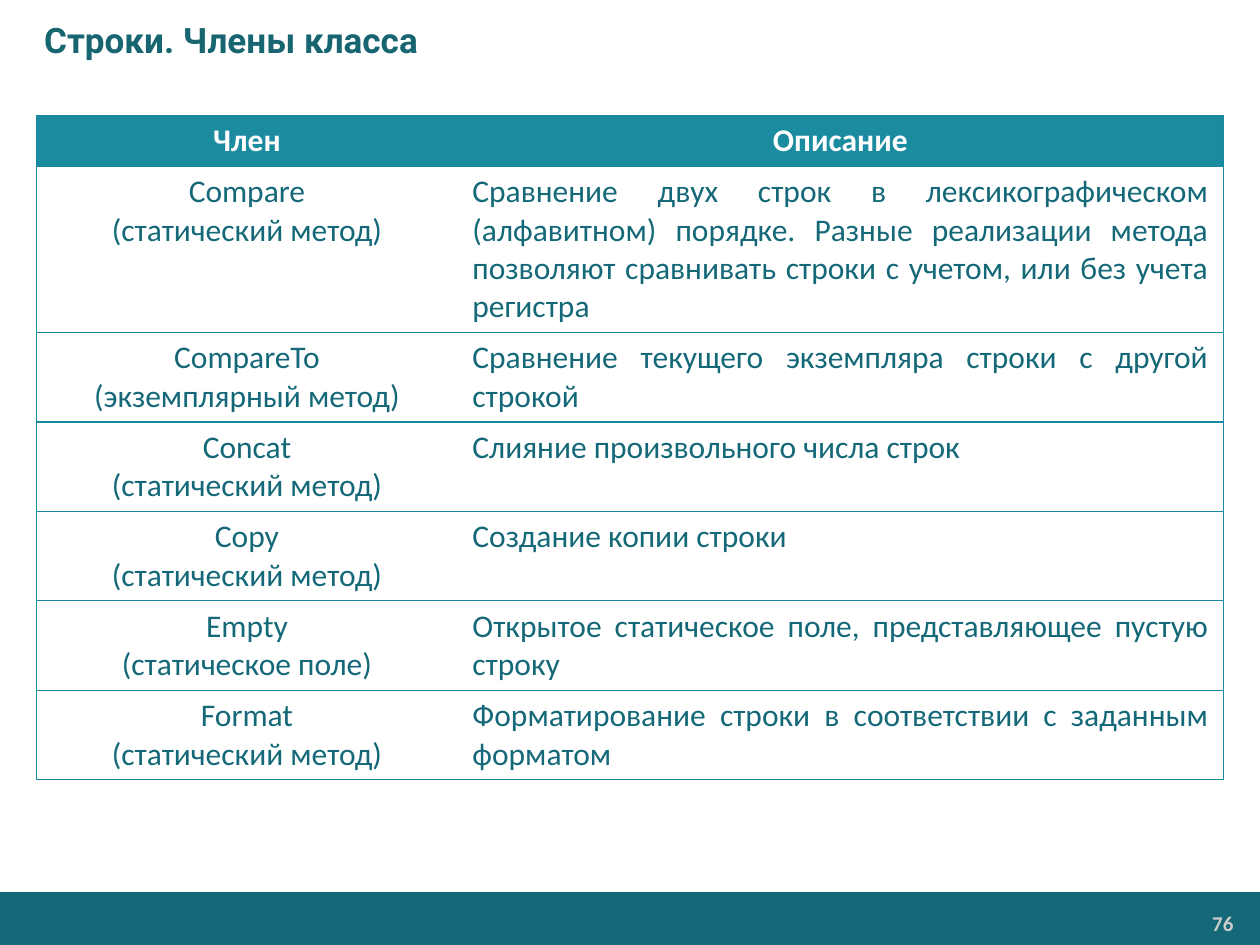
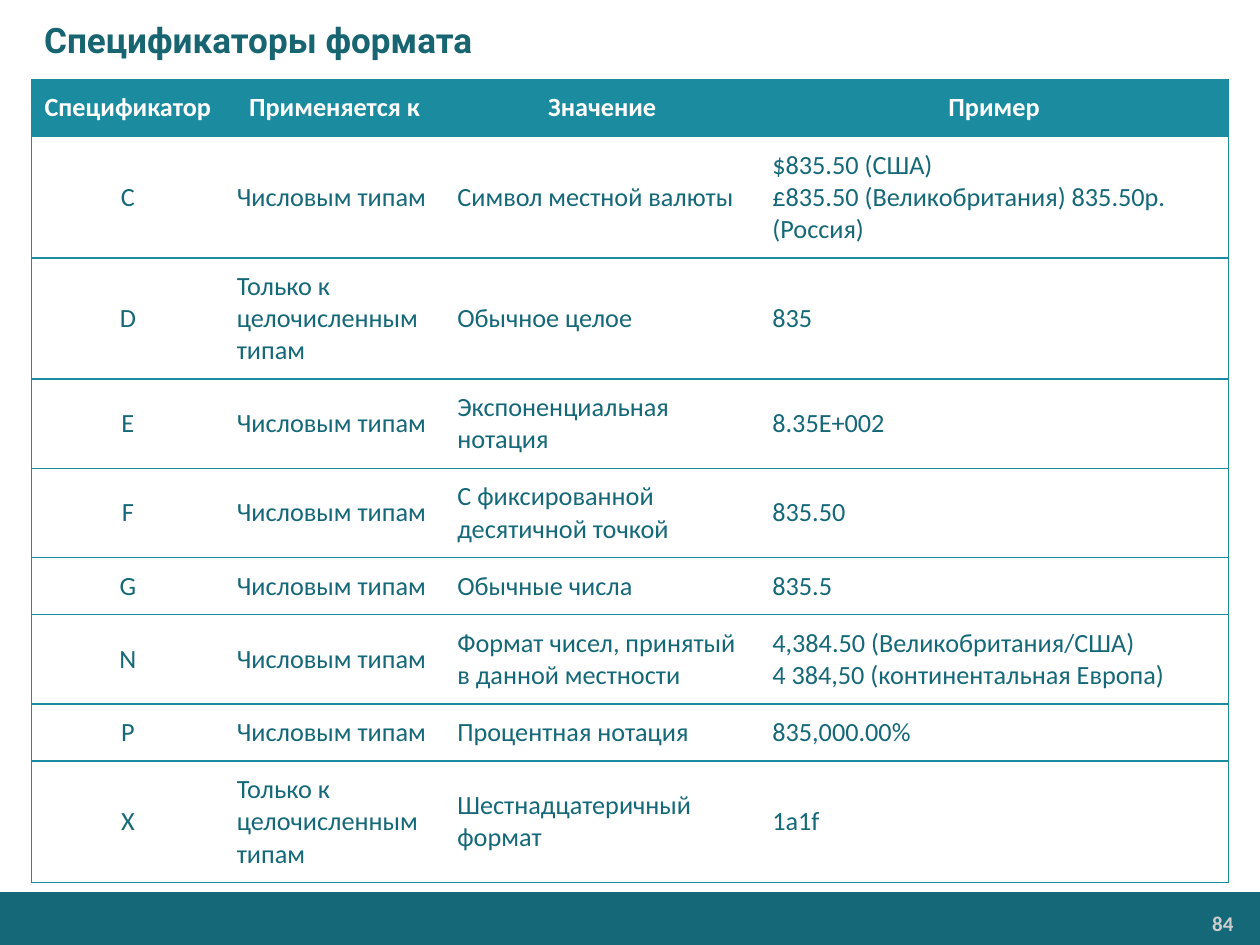
import lxml.etree
import pptx
import pptx.dml.color
import pptx.enum.shapes
import pptx.enum.text
import pptx.oxml.ns
import pptx.util

ALIGN = pptx.enum.text.PP_ALIGN
ANCHOR = pptx.enum.text.MSO_ANCHOR
COLORS = {
    "title": "176571",
    "dark": "146878",
    "header": "1B8BA0",
    "border": "178AA0",
    "number": "CCCCCC",
    "white": "FFFFFF",
}
GRID_COLS, GRID_ROWS = 40, 30
LINE_SPACING = 1.22
NO_STYLE_NO_GRID = "{2D5ABB26-0587-4C30-8999-92F81FD0307C}"

NUMERIC = "Числовым типам"
INTEGER = "Только к целочисленным типам"

# Each row: number of text lines it holds, then its cells.
MEMBERS = [
    (1, "Член", "Описание"),
    (4, "Compare\n(статический метод)",
     "Сравнение двух строк в лексикографическом (алфавитном) порядке. Разные "
     "реализации метода позволяют сравнивать строки с учетом, или без учета регистра"),
    (2, "CompareTo\n(экземплярный метод)",
     "Сравнение текущего экземпляра строки с другой строкой"),
    (2, "Concat\n(статический метод)", "Слияние произвольного числа строк"),
    (2, "Copy\n(статический метод)", "Создание копии строки"),
    (2, "Empty\n(статическое поле)",
     "Открытое статическое поле, представляющее пустую строку"),
    (2, "Format\n(статический метод)",
     "Форматирование строки в соответствии с заданным форматом"),
]
SPECIFIERS = [
    (1, "Спецификатор", "Применяется к", "Значение", "Пример"),
    (3, "C", NUMERIC, "Символ местной валюты",
     "$835.50 (США)\v£835.50 (Великобритания) 835.50р.(Россия)"),
    (3, "D", INTEGER, "Обычное целое", "835"),
    (2, "E", NUMERIC, "Экспоненциальная нотация", "8.35Е+002"),
    (2, "F", NUMERIC, "С фиксированной десятичной точкой", "835.50"),
    (1, "G", NUMERIC, "Обычные числа", "835.5"),
    (2, "N", NUMERIC, "Формат чисел, принятый в данной местности",
     "4,384.50 (Великобритания/США)\v4 384,50 (континентальная Европа)"),
    (1, "P", NUMERIC, "Процентная нотация", "835,000.00%"),
    (3, "X", INTEGER, "Шестнадцатеричный формат", "1a1f"),
]


def rgb(name):
    return pptx.dml.color.RGBColor.from_string(COLORS[name])


def set_margins(target, x, y):
    target.margin_left = target.margin_right = pptx.util.Inches(x)
    target.margin_top = target.margin_bottom = pptx.util.Inches(y)


def add_border(cell, side, color, width):
    """Draw one side (L, R, T or B); call before the cell gets its fill."""
    tc_pr = cell._tc.get_or_add_tcPr()
    ln = lxml.etree.SubElement(tc_pr, pptx.oxml.ns.qn(f"a:ln{side}"),
                               w=str(pptx.util.Pt(width)))
    fill = lxml.etree.SubElement(ln, pptx.oxml.ns.qn("a:solidFill"))
    lxml.etree.SubElement(fill, pptx.oxml.ns.qn("a:srgbClr"), val=COLORS[color])


class Deck:
    """Holds the style and the current slide; lengths are grid columns and rows."""

    def __init__(self):
        self.prs = pptx.Presentation()
        self.prs.slide_width = pptx.util.Inches(10)
        self.prs.slide_height = pptx.util.Inches(7.5)
        self.s = None

    def x(self, cols):
        return round(self.prs.slide_width * cols / GRID_COLS)

    def y(self, rows):
        return round(self.prs.slide_height * rows / GRID_ROWS)

    def box(self, left, top, width, height):
        return self.x(left), self.y(top), self.x(width), self.y(height)

    def style_text(self, tf, size, color, bold=False, align=ALIGN.LEFT, font="Calibri"):
        for p in tf.paragraphs:
            p.alignment = align
            for r in p.runs:
                r.font.name = font
                r.font.size = pptx.util.Pt(size)
                r.font.bold = bold
                r.font.color.rgb = rgb(color)

    def add_slide(self, title, number):
        self.s = self.prs.slides.add_slide(self.prs.slide_layouts[5])
        self.add_band()
        self.add_number(number)
        self.set_title(title)

    def add_band(self):
        sp = self.s.shapes.add_shape(pptx.enum.shapes.MSO_SHAPE.RECTANGLE,
                                     *self.box(0, 28.32, 40, 1.68))
        sp.shadow.inherit = False
        sp.fill.solid()
        sp.fill.fore_color.rgb = rgb("dark")
        sp.line.fill.background()

    def add_number(self, number):
        tf = self.s.shapes.add_textbox(*self.box(32.92, 28.76, 6.52, 1.12)).text_frame
        tf.word_wrap = True
        set_margins(tf, 0.07, 0.04)
        tf.text = str(number)
        self.style_text(tf, 12, "number", True, ALIGN.RIGHT)

    def set_title(self, title):
        sp = self.s.shapes.title
        sp.left, sp.top, sp.width, sp.height = self.box(0, 0, 40, 2.5)
        tf = sp.text_frame
        tf.text = title
        tf.margin_left = pptx.util.Inches(0.35)
        tf.vertical_anchor = ANCHOR.MIDDLE
        tf.auto_size = pptx.enum.text.MSO_AUTO_SIZE.NONE
        self.style_text(tf, 20, "title", True, font="Roboto")

    def add_table(self, rows, left, top, widths, aligns, size, margins, anchor, border):
        """Row heights follow from line counts; border is (colour, points)."""
        pad = pptx.util.Inches(2 * margins[1])
        heights = [pad + pptx.util.Pt(size * LINE_SPACING * row[0]) for row in rows]
        frame = self.s.shapes.add_table(len(rows), len(widths), self.x(left), self.y(top),
                                        self.x(sum(widths)), sum(heights))
        table = frame.table
        table.horz_banding = False
        table._tbl.tblPr.find(pptx.oxml.ns.qn("a:tableStyleId")).text = NO_STYLE_NO_GRID
        for column, width in zip(table.columns, widths):
            column.width = self.x(width)
        for i, (_, *texts) in enumerate(rows):
            table.rows[i].height = heights[i]
            for j, text in enumerate(texts):
                cell = table.cell(i, j)
                sides = "L" * (j == 0) + "R" * (j == len(widths) - 1) + "TB"
                for side in sides:
                    add_border(cell, side, *border)
                cell.fill.solid()
                cell.fill.fore_color.rgb = rgb("white" if i else "header")
                set_margins(cell, *margins)
                cell.vertical_anchor = anchor
                cell.text_frame.text = text
                self.style_text(cell.text_frame, size, "dark" if i else "white",
                                i == 0, aligns[j] if i else ALIGN.CENTER)


def main():
    deck = Deck()

    deck.add_slide("Строки. Члены класса", 76)
    deck.add_table(MEMBERS, 1.16, 3.66, [13.36, 24.32], [ALIGN.CENTER, ALIGN.JUSTIFY],
                   18, (0.12, 0.05), ANCHOR.TOP, ("border", 0.75))

    deck.add_slide("Спецификаторы формата", 84)
    deck.add_table(SPECIFIERS, 1, 2.52, [6.12, 7, 10, 14.88],
                   [ALIGN.CENTER] + [ALIGN.LEFT] * 3,
                   15, (0.1, 0.1), ANCHOR.MIDDLE, ("header", 1))

    deck.prs.save("out.pptx")


if __name__ == "__main__":
    main()
